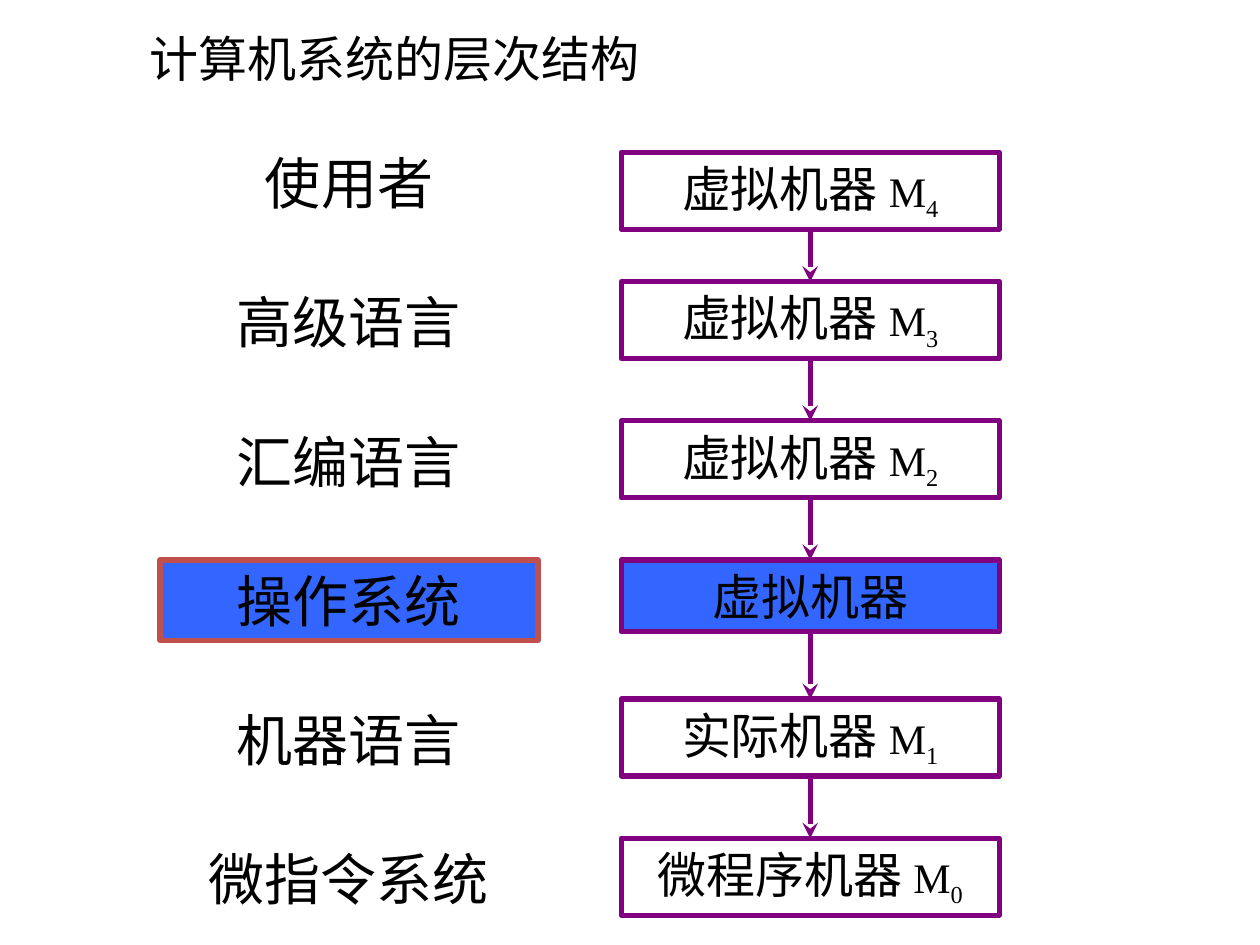
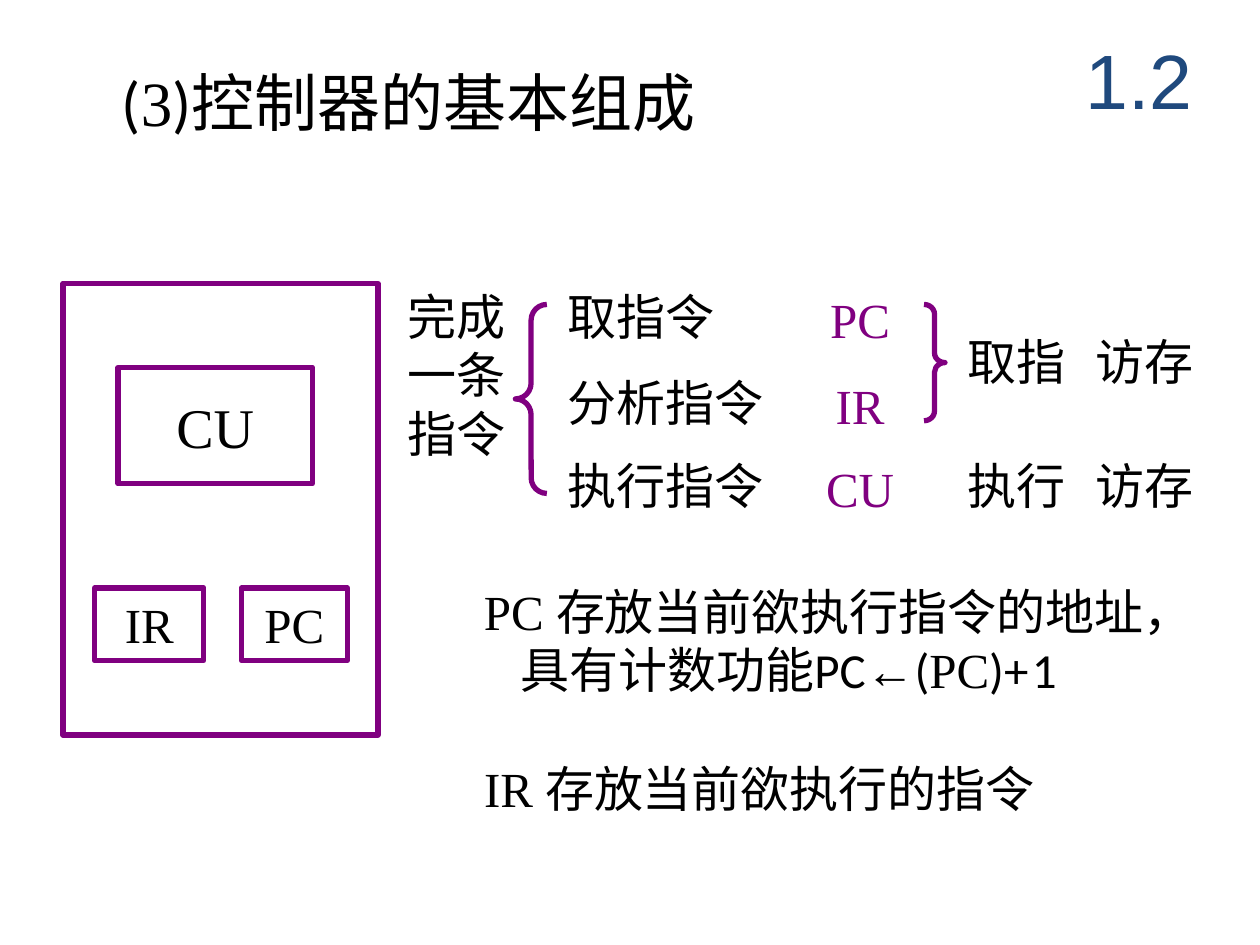
import pptx
import pptx.dml.color
import pptx.enum.shapes
import pptx.enum.text
import pptx.oxml
import pptx.oxml.ns
import pptx.util

Pt = pptx.util.Pt
SHAPES = pptx.enum.shapes.MSO_SHAPE
ALIGN = pptx.enum.text.PP_ALIGN
ANCHOR = pptx.enum.text.MSO_ANCHOR

COLOURS = {"ink": "000000", "purple": "800080", "blue": "3366FF",
           "red": "C0504D", "navy": "1F497D"}
BODY, SERIF, SANS, CJK = "Calibri", "Times New Roman", "Arial", "Noto Sans CJK SC"
LINE_WIDTH = 3
BOTTOM, TOP = 2, 0


def colour(name):
    return pptx.dml.color.RGBColor.from_string(COLOURS[name])


def drawing_element(tag, **attributes):
    element = pptx.oxml.parse_xml(f"<a:{tag} {pptx.oxml.ns.nsdecls('a')}/>")
    for key, value in attributes.items():
        element.set(key, value)
    return element


def add_run(paragraph, text, size=28, font=BODY, ink="ink", subscript=False):
    run = paragraph.add_run()
    run.text = text
    run.font.size = Pt(size)
    run.font.color.rgb = colour(ink)
    run.font.name = font
    properties = run._r.get_or_add_rPr()
    properties.append(drawing_element("ea", typeface=BODY))
    if subscript:
        properties.set("baseline", "-25000")


def write(shape, *paragraphs, align=ALIGN.LEFT, anchor=ANCHOR.TOP, wrap=True, **style):
    """Fill a shape; a paragraph is a string or a list of (text, format) runs."""
    frame = shape.text_frame
    frame.word_wrap = wrap
    frame.vertical_anchor = anchor
    for index, content in enumerate(paragraphs):
        paragraph = frame.add_paragraph() if index else frame.paragraphs[0]
        paragraph.alignment = align
        runs = [(content, {})] if isinstance(content, str) else content
        for text, extra in runs:
            add_run(paragraph, text, **{**style, **extra})
    return frame


class Deck:
    def __init__(self):
        self.show = pptx.Presentation()
        self.show.slide_width, self.show.slide_height = Pt(720), Pt(540)
        self.slide = None

    def new_slide(self):
        self.slide = self.show.slides.add_slide(self.show.slide_layouts[6])

    def text(self, left, top, width, height, *paragraphs, **style):
        box = self.slide.shapes.add_textbox(Pt(left), Pt(top), Pt(width), Pt(height))
        return write(box, *paragraphs, **style)

    def outline(self, kind, left, top, width, height, fill=None, line="purple"):
        shape = self.slide.shapes.add_shape(kind, Pt(left), Pt(top), Pt(width), Pt(height))
        shape.shadow.inherit = False
        if fill:
            shape.fill.solid()
            shape.fill.fore_color.rgb = colour(fill)
        else:
            shape.fill.background()
        shape.line.color.rgb = colour(line)
        shape.line.width = Pt(LINE_WIDTH)
        return shape

    def box(self, left, top, width, height, *paragraphs, fill=None, line="purple", **style):
        shape = self.outline(SHAPES.RECTANGLE, left, top, width, height, fill, line)
        if paragraphs:
            write(shape, *paragraphs, align=ALIGN.CENTER, **style)
        return shape

    def brace(self, kind, left, top, width, height):
        shape = self.outline(kind, left, top, width, height)
        shape.adjustments[0] = height / 12 / width

    def arrow(self, upper, lower):
        link = self.slide.shapes.add_connector(
            pptx.enum.shapes.MSO_CONNECTOR.STRAIGHT, 0, 0, 0, 0)
        link.begin_connect(upper, BOTTOM)
        link.end_connect(lower, TOP)
        link.line.color.rgb = colour("purple")
        link.line.width = Pt(LINE_WIDTH)
        link.line._get_or_add_ln().append(drawing_element("tailEnd", type="stealth"))
        link._element.spPr.append(drawing_element("effectLst"))


def build_levels(deck):
    deck.new_slide()
    deck.text(78.5, 13, 294, 41, "计算机系统的层次结构", font=CJK, wrap=False)

    # Each level: language, machine, index of the machine
    levels = [("使用者", "虚拟机器", "4"), ("高级语言", "虚拟机器", "3"),
              ("汇编语言", "虚拟机器", "2"), ("操作系统", "虚拟机器", None),
              ("机器语言", "实际机器", "1"), ("微指令系统", "微程序机器", "0")]
    first_top, pitch, width = 81.5, 79.5, 216
    label_left, machine_left = 91.5, 355
    label_style = dict(size=32)
    machines = []
    for row, (language, machine, index) in enumerate(levels):
        top = first_top + row * pitch
        machine_top = top if row else 87
        if index is None:
            deck.box(label_left, top, width, 46, language,
                     fill="blue", line="red", **label_style)
            machines.append(deck.box(machine_left, machine_top, width, 41, machine,
                                     fill="blue"))
        else:
            deck.text(label_left, top, width, 46, language,
                      align=ALIGN.CENTER, **label_style)
            symbol = dict(size=24, font=SERIF)
            machines.append(deck.box(
                machine_left, machine_top, width, 44,
                [(machine + " ", {}), ("M", symbol), (index, {**symbol, "subscript": True})]))

    # Arrows from each machine to the one below
    for upper, lower in zip(machines, machines[1:]):
        deck.arrow(upper, lower)


def build_controller(deck):
    deck.new_slide()
    serif = dict(font=SERIF)
    deck.text(62.5, 32.5, 466, 50, [("(", {}), ("3", serif), (")控制器的基本组成", {})],
              size=36)
    deck.text(606, 12, 90, 66, "1.2", size=44, font=SANS, ink="navy",
              align=ALIGN.CENTER, anchor=ANCHOR.MIDDLE)

    # Controller block
    deck.box(36, 162, 180, 258)
    for name, left, top, width, height, size in [("CU", 67.5, 210, 111, 66.5, 32),
                                                 ("IR", 54, 336, 62.5, 41.5, 28),
                                                 ("PC", 138, 336, 60.5, 41.5, 28)]:
        deck.box(left, top, width, height, name, size=size, font=SERIF,
                 anchor=ANCHOR.MIDDLE)

    # Steps of one instruction and the units that carry them out
    deck.text(225.5, 160, 71, 108, "完成", "一条", "指令", align=ALIGN.CENTER)
    deck.brace(SHAPES.LEFT_BRACE, 294.5, 174, 18, 108)
    for step, unit, top in [("取指令", "PC", 160), ("分析指令", "IR", 209.5),
                            ("执行指令", "CU", 256.5)]:
        deck.text(317.5, top, 150, 41, step)
        deck.text(465, top + 1.75, 53, 41, unit, font=SERIF, ink="purple",
                  align=ALIGN.CENTER, wrap=False)

    # Memory access phases
    deck.brace(SHAPES.RIGHT_BRACE, 528, 174, 12, 66.5)
    for phase, top in [("取指", 186), ("执行", 256.5)]:
        deck.text(546, top, 72, 41, phase)
        deck.text(619, top, 98, 41, "访存")

    # Register roles
    small_gap = (" ", dict(size=9))
    role = deck.text(
        269.5, 328.5, 446, 75,
        [("PC ", serif), ("存放当前欲执行指令的地址，", {})],
        [("具有计数功能PC", {}), ("←", dict(font=SANS)), ("(", {}), ("PC", serif),
         (")+", {}), small_gap, ("1", {})])
    role.paragraphs[1]._p.get_or_add_pPr().set("marL", str(Pt(21)))
    deck.text(269.5, 430, 403, 41, [("IR ", serif), ("存放当前欲执行的指令", {})])


def main():
    deck = Deck()
    build_levels(deck)
    build_controller(deck)
    deck.show.save("out.pptx")


if __name__ == "__main__":
    main()
